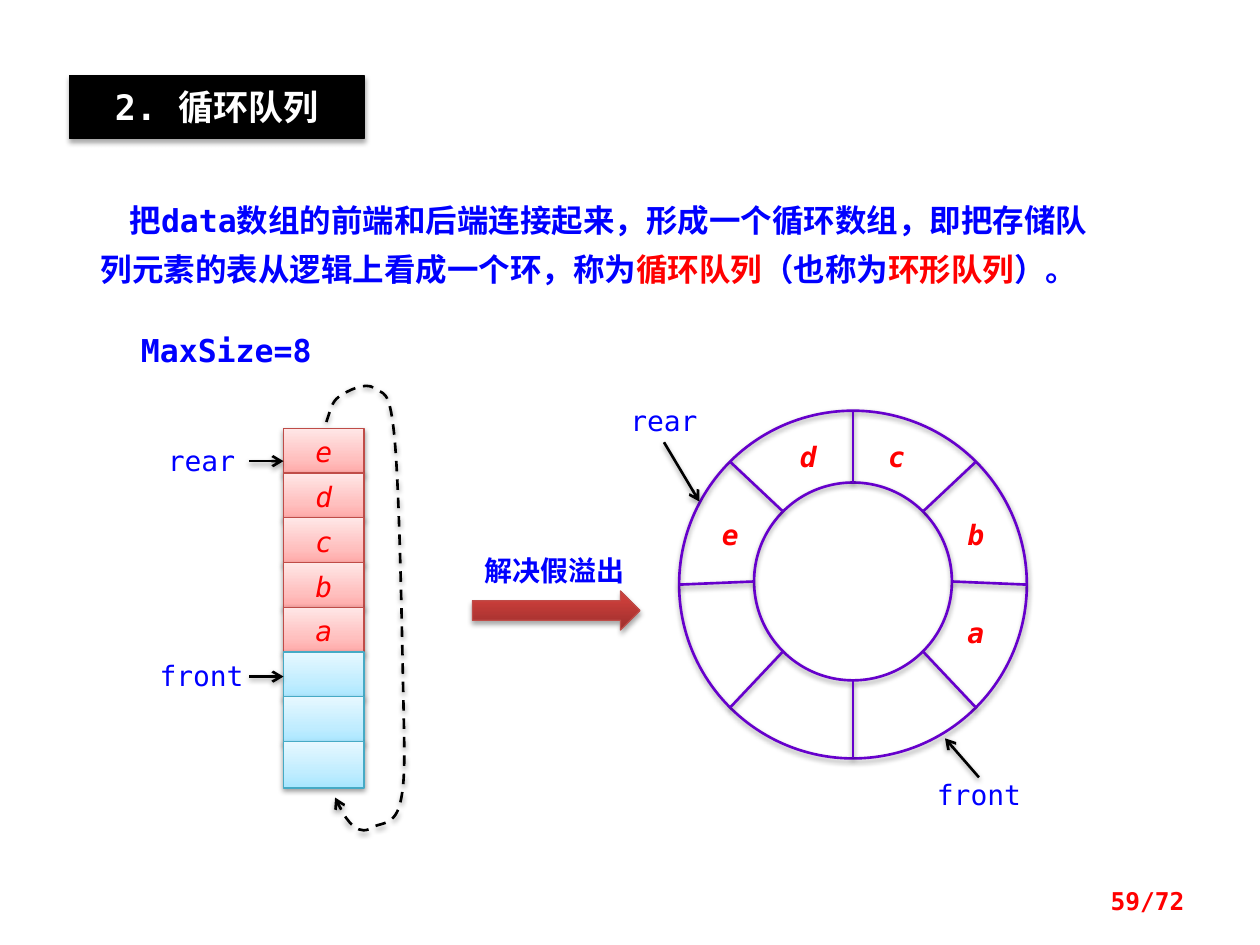
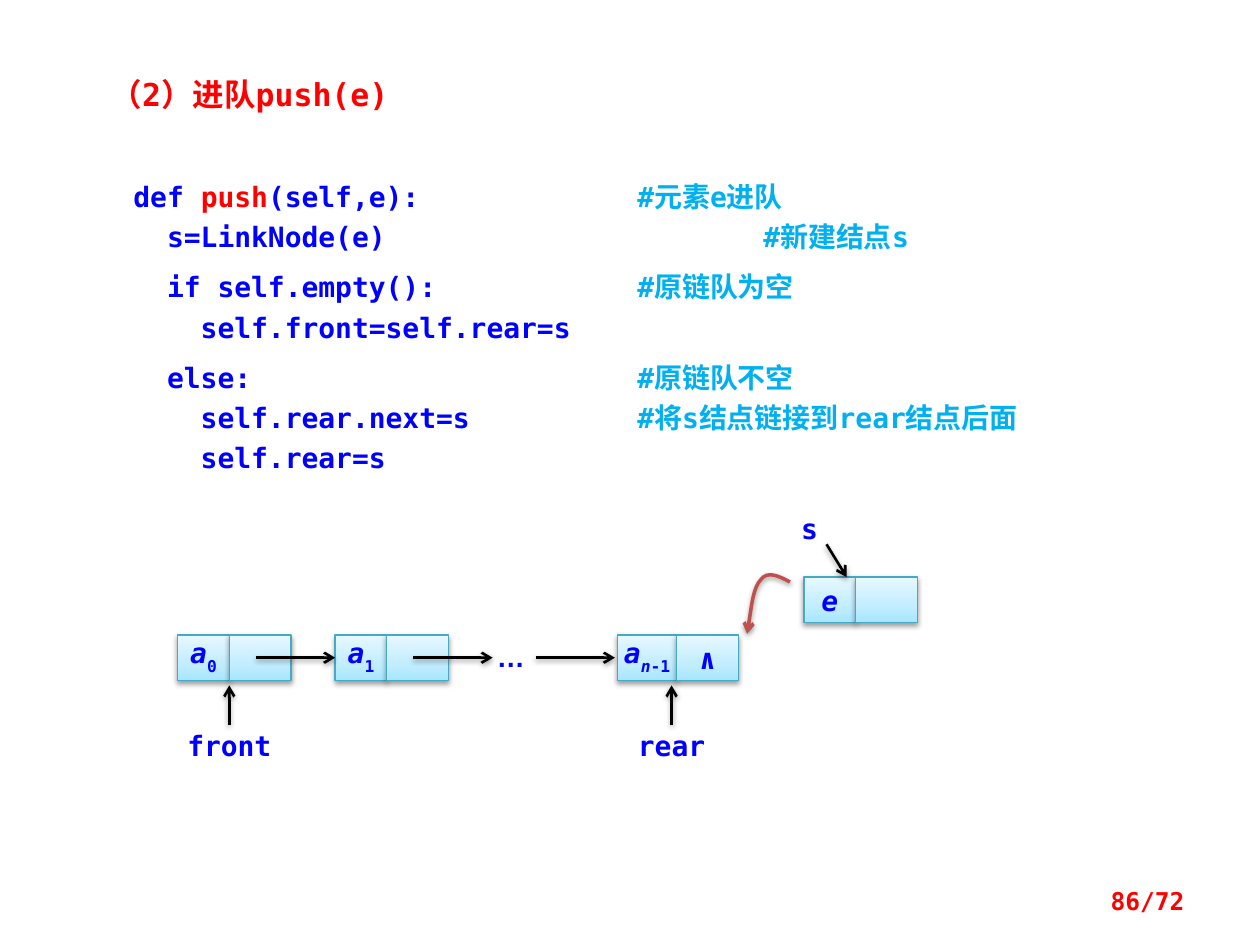
from math import cos, sin, radians
from lxml.etree import SubElement as Sub
from pptx import Presentation
from pptx.dml.color import RGBColor
from pptx.enum.dml import MSO_LINE
from pptx.enum.shapes import MSO_CONNECTOR as LINK, MSO_SHAPE as KIND
from pptx.enum.text import MSO_ANCHOR as ANCHOR, PP_ALIGN as ALIGN
from pptx.oxml.ns import qn
from pptx.util import Inches, Pt

MONO = "DejaVu Sans Mono"
BLACK, WHITE, RED, BLUE = "000000", "FFFFFF", "FF0000", "0000FF"
SKY, VIOLET, BRICK = "00B0F0", "6600CC", "C0504D"
PINK = ("BF4C48", [(0, "FFA6A5"), (35, "FFC0BF"), (100, "FFE7E7")])
AQUA = ("46AAC5", [(0, "A7E6FF"), (35, "C1EDFF"), (100, "E7F8FF")])
RUST = ("BF4C48", [(0, "9C2F2D"), (80, "CB3E3A"), (100, "CE3B37")])
THIN = (0, 0, 0, 0)
WIDE = (0.1, 0.05, 0.1, 0.05)


def hue(code):
    """Turn a hex string into a colour."""
    return RGBColor.from_string(code)


def shade(item, alpha=38, drop=1.6):
    """Set a soft shadow below an item, or none when alpha is 0."""
    props = item._element.spPr
    for old in props.findall(qn("a:effectLst")):
        props.remove(old)
    fx = Sub(props, qn("a:effectLst"))
    if alpha:
        cast = Sub(fx, qn("a:outerShdw"), blurRad=str(Pt(3.1)), dist=str(Pt(drop)),
                   dir="5400000", rotWithShape="0")
        tone = Sub(cast, qn("a:srgbClr"), val=BLACK)
        Sub(tone, qn("a:alpha"), val=str(alpha * 1000))


def stroke(item, color, width, head=False, dash=False):
    """Draw the line of an item, with an arrowhead if asked."""
    item.line.color.rgb = hue(color)
    item.line.width = Pt(width)
    if dash:
        item.line.dash_style = MSO_LINE.DASH
    if head:
        Sub(item.line._get_or_add_ln(), qn("a:tailEnd"), type="arrow")


def blend(item, stops):
    """Fill an item with a gradient that runs upward."""
    item.fill.background()
    props = item._element.spPr
    old = props.find(qn("a:noFill"))
    grad = props.makeelement(qn("a:gradFill"), {"rotWithShape": "1"})
    props.replace(old, grad)
    row = Sub(grad, qn("a:gsLst"))
    for pos, code in stops:
        Sub(Sub(row, qn("a:gs"), pos=str(pos * 1000)), qn("a:srgbClr"), val=code)
    Sub(grad, qn("a:lin"), ang="16200000", scaled="0")


def write(para, runs, size=16, align=ALIGN.LEFT, space=None):
    """Add (text, colour, flags) runs; flags are b, i and s for subscript."""
    para.alignment = align
    if space:
        para.line_spacing = space
    for text, color, flags in runs:
        run = para.add_run()
        run.text = text
        font = run.font
        font.name = "Arial" if text == "…" else MONO
        font.size, font.color.rgb = Pt(size), hue(color)
        font.bold, font.italic = "b" in flags, "i" in flags
        if "s" in flags:
            run._r.get_or_add_rPr().set("baseline", "-30000")


def pad(item, gaps=WIDE, anchor=ANCHOR.TOP):
    """Wrap the text of an item and set its margins; give back its frame."""
    frame = item.text_frame
    frame.word_wrap, frame.vertical_anchor = True, anchor
    left, top, right, low = map(Inches, gaps)
    frame.margin_left, frame.margin_top = left, top
    frame.margin_right, frame.margin_bottom = right, low
    return frame


def text(page, box, runs, size=16, align=ALIGN.LEFT, space=None, anchor=ANCHOR.TOP):
    """Place a text box of one paragraph and give the paragraph back."""
    para = pad(page.shapes.add_textbox(*map(Inches, box)), anchor=anchor).paragraphs[0]
    write(para, runs, size, align, space)
    return para


def form(page, kind, box):
    """Place a preset shape."""
    return page.shapes.add_shape(kind, *map(Inches, box))


def plate(page, box, color=WHITE):
    """Place a flat box without line or shadow."""
    item = form(page, KIND.RECTANGLE, box)
    item.fill.solid()
    item.fill.fore_color.rgb = hue(color)
    item.line.fill.background()
    shade(item, 0)
    return item


def label(page, box, word, flags=""):
    """Place a centred blue word on a white box."""
    frame = pad(plate(page, box), THIN)
    write(frame.paragraphs[0], [(word, BLUE, flags)], align=ALIGN.CENTER)


def cell(page, box, look, runs=()):
    """Place one shaded cell with centred text."""
    item = form(page, KIND.RECTANGLE, box)
    line, stops = look
    blend(item, stops)
    stroke(item, line, 0.75)
    shade(item)
    write(pad(item, THIN).paragraphs[0], runs, align=ALIGN.CENTER, space=Pt(23))


def link(page, ends, color=BLACK, head=True):
    """Draw a straight line given as x1, y1, x2, y2."""
    item = page.shapes.add_connector(LINK.STRAIGHT, *map(Inches, ends))
    stroke(item, color, 1.5, head)
    shade(item)


def curve(page, x, y, dots, color, width, dash=False):
    """Draw a Bezier arrow through dots relative to x, y."""
    first, *rest = [(Inches(x + a), Inches(y + b)) for a, b in dots]
    pen = page.shapes.build_freeform(*first, scale=1.0)
    pen.add_line_segments(rest, close=False)
    item = pen.convert_to_shape()
    track = next(item._element.iter(qn("a:path")))
    legs = track.findall(qn("a:lnTo"))
    for k in range(0, len(legs), 3):
        bend = Sub(track, qn("a:cubicBezTo"))
        for leg in legs[k:k + 3]:
            bend.append(leg[0])
            track.remove(leg)
    item.fill.background()
    stroke(item, color, width, True, dash)
    shade(item)


def foot(page, mark):
    """Place the page mark at the lower right."""
    text(page, (7.17, 6.95, 2.33, 0.4), [(mark, RED, "b")], 14, ALIGN.RIGHT,
         anchor=ANCHOR.MIDDLE)


def banner(page, box, words):
    """Place the black title band."""
    item = plate(page, box, BLACK)
    stroke(item, BLACK, 0.75)
    shade(item, 35, 1.8)
    frame = pad(item, (0.1, 0.08, 0.1, 0.08))
    write(frame.paragraphs[0], [(words, WHITE, "b")], 20, ALIGN.CENTER)


def stack(page, x, y):
    """Draw the array as a column of cells with its two pointers."""
    wide, step = 0.64, 0.355
    for k, mark in enumerate(["e", "d", "c", "b", "a", "", "", ""]):
        runs = [(mark, RED, "i")] if mark else []
        cell(page, (x, y + k * step, wide, 0.37), PINK if mark else AQUA, runs)
    for word, drop in (("rear", 0.26), ("front", 1.97)):
        label(page, (x - 1.08, y + drop - 0.14, 0.86, 0.3), word)
        link(page, (x - 0.27, y + drop, x, y + drop))
    loop = [(0.34, -0.05), (0.37, -0.13), (0.38, -0.21), (0.44, -0.25),
            (0.51, -0.3), (0.65, -0.37), (0.72, -0.32),
            (0.79, -0.26), (0.84, -0.34), (0.88, 0.06),
            (0.92, 0.46), (0.94, 1.58), (0.95, 2.07),
            (0.96, 2.55), (0.97, 2.78), (0.93, 2.96),
            (0.89, 3.15), (0.78, 3.13), (0.72, 3.16),
            (0.66, 3.2), (0.61, 3.2), (0.56, 3.16),
            (0.51, 3.12), (0.45, 3.02), (0.41, 2.93)]
    curve(page, x, y, loop, BLACK, 1.5, True)


def ring(page, x, y, size):
    """Draw the circular array with eight sectors and its two pointers."""
    big, small = size / 2, 0.785
    mid, low = x + big, y + big
    hub = low - 0.025
    for rad, row in ((small, hub), (big, low)):
        item = form(page, KIND.OVAL, (mid - rad, row - rad, 2 * rad, 2 * rad))
        item.fill.background()
        stroke(item, VIOLET, 1.5)
        shade(item)
    for turn in range(0, 360, 45):
        a, b = cos(radians(turn)), sin(radians(turn))
        link(page, (mid + small * a, hub + small * b, mid + big * a, low + big * b),
             VIOLET, False)
    marks = {"e": (0.24, 0.8), "d": (0.86, 0.18), "c": (1.56, 0.18),
             "b": (2.19, 0.8), "a": (2.19, 1.58)}
    for mark, (a, b) in marks.items():
        text(page, (x + a, y + b, 0.39, 0.37), [(mark, RED, "bi")])
    label(page, (x + 1.95, y + 2.91, 0.86, 0.3), "front")
    link(page, (x + 2.38, y + 2.91, x + 2.11, y + 2.6))
    label(page, (x - 0.55, y - 0.06, 0.86, 0.3), "rear")
    link(page, (x - 0.12, y + 0.25, x + 0.16, y + 0.72))


def shift(page, x, y):
    """Draw the block arrow and the words above it."""
    item = form(page, KIND.RIGHT_ARROW, (x, y + 0.47, 1.33, 0.31))
    line, stops = RUST
    blend(item, stops)
    stroke(item, line, 0.75)
    shade(item, 35, 1.8)
    text(page, (x, y, 1.41, 0.45), [("解决假溢出", BLUE, "b")], space=Pt(28))


def code(page, box):
    """Place the listing, with its remarks lined up by tab stops."""
    frame = pad(plate(page, box), (0.2, 0.12, 0.1, 0.12))
    near, far = 4, 5
    rows = [([("def ", BLUE), ("push", RED), ("(self,e):", BLUE)], "#元素e进队", near, Pt(23)),
            ([("  s=LinkNode(e)", BLUE)], "#新建结点s", far, Pt(23)),
            ([("  if self.empty():", BLUE)], "#原链队为空", near, 1.5),
            ([("    self.front=self.rear=s", BLUE)], "", near, Pt(23)),
            ([("  else:", BLUE)], "#原链队不空", near, 1.5),
            ([("    self.rear.next=s", BLUE)], "#将s结点链接到rear结点后面", near, Pt(23)),
            ([("    self.rear=s", BLUE)], "", near, Pt(23))]
    for k, (parts, note, stop, space) in enumerate(rows):
        para = frame.add_paragraph() if k else frame.paragraphs[0]
        runs = [(part, color, "b") for part, color in parts]
        if note:
            runs += [("\t", BLUE, "b"), (note, SKY, "b")]
        write(para, runs, space=space)
        if note:
            tabs = Sub(para._p.get_or_add_pPr(), qn("a:tabLst"))
            Sub(tabs, qn("a:tab"), pos=str(Inches(stop)), algn="l")


def node(page, x, y, runs, wide=0.41, end=()):
    """Draw a list node: a data cell and a link cell."""
    cell(page, (x, y, wide, 0.36), AQUA, runs)
    cell(page, (x + wide, y, 0.49, 0.36), AQUA, end)


def chain(page, x, y):
    """Draw the linked queue with its pointers and the new node."""
    name = ("a", BLUE, "bi")
    label(page, (x + 2.4, y + 0.04, 0.49, 0.36), "…", "b")
    for k in range(2):
        node(page, x + 1.25 * k, y, [name, (str(k), BLUE, "bs")])
    node(page, x + 3.49, y, [name, ("n", BLUE, "bis"), ("-1", BLUE, "bs")], 0.47,
         [("∧", BLUE, "b")])
    for a in (0.62, 1.87, 2.84):
        link(page, (x + a, y + 0.18, x + a + 0.63, y + 0.18))
    for word, a in (("front", 0.41), ("rear", 3.92)):
        label(page, (x + a - 0.39, y + 0.74, 0.78, 0.37), word, "b")
        link(page, (x + a, y + 0.71, x + a, y + 0.4))
    node(page, x + 4.97, y - 0.46, [("e", BLUE, "bi")])
    label(page, (x + 4.87, y - 0.98, 0.29, 0.36), "s", "b")
    link(page, (x + 5.15, y - 0.72, x + 5.31, y - 0.46))
    hook = [(4.86, -0.42), (4.77, -0.47), (4.68, -0.51), (4.63, -0.44),
            (4.57, -0.38), (4.55, -0.19), (4.52, -0.01)]
    curve(page, x, y, hook, BRICK, 2)


def circle(page):
    """Build the slide on the circular queue."""
    banner(page, (0.55, 0.6, 2.34, 0.5), "2. 循环队列")
    lead = [("把data数组的前端和后端连接起来，形成一个循环数组，即把存储队列元素的表从逻辑上看成一个环，称为", BLUE, "b"),
            ("循环队列", RED, "b"), ("（也称为", BLUE, "b"),
            ("环形队列", RED, "b"), ("）。", BLUE, "b")]
    para = text(page, (0.7, 1.46, 8.2, 0.89), lead, 18, space=Pt(28))
    para._p.get_or_add_pPr().set("indent", str(Inches(0.23)))
    text(page, (1.02, 2.58, 1.64, 0.4), [("MaxSize=8", BLUE, "b")], 18)
    stack(page, 2.25, 3.4)
    shift(page, 3.75, 4.22)
    ring(page, 5.39, 3.26, 2.76)
    foot(page, "59/72")


def push(page):
    """Build the slide on the push method."""
    text(page, (0.78, 0.55, 3.05, 0.4), [("（2）进队push(e)", RED, "b")], 18)
    code(page, (0.86, 1.25, 8.36, 2.66))
    chain(page, 1.41, 5.04)
    foot(page, "86/72")


def main():
    """Build and save the slides."""
    deck = Presentation()
    deck.slide_width, deck.slide_height = Inches(10), Inches(7.5)
    for build in (circle, push):
        build(deck.slides.add_slide(deck.slide_layouts[6]))
    deck.save("out.pptx")


if __name__ == "__main__":
    main()
